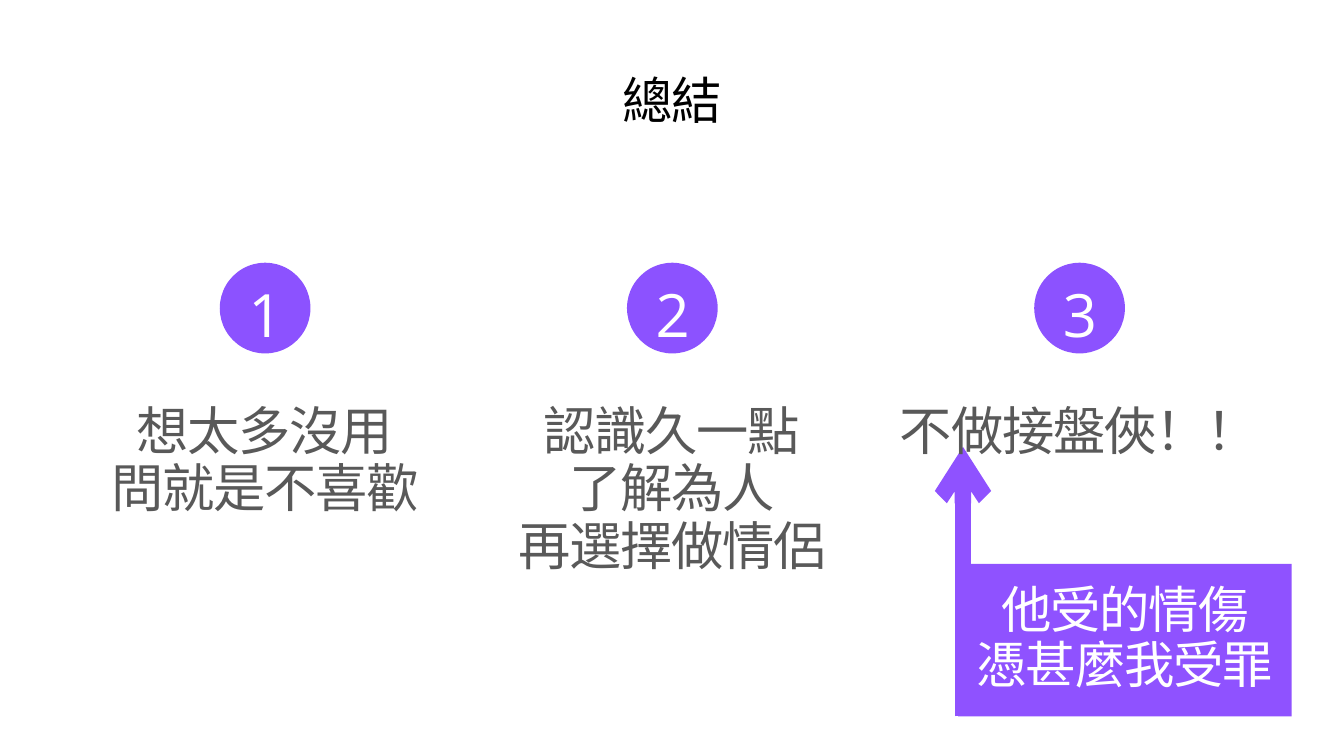
from lxml import etree
from pptx import Presentation
from pptx import util as u
from pptx.dml.color import RGBColor
from pptx.enum import shapes, text
from pptx.oxml.ns import qn

Inches, Pt = u.Inches, u.Pt
COLORS = {"circle": "8C52FF", "callout": "8F52FF", "white": "FFFFFF",
          "body": "595959", "title": "000000"}


def rgb(name):
    return RGBColor.from_string(COLORS[name])


def write(box, words, font, size, color, leading, tracking):
    frame = box.text_frame
    frame.word_wrap = True
    frame.auto_size = text.MSO_AUTO_SIZE.NONE
    frame.vertical_anchor = text.MSO_ANCHOR.TOP
    frame.margin_left = frame.margin_right = 0
    frame.margin_top = frame.margin_bottom = 0
    frame.text = words
    for paragraph in frame.paragraphs:
        paragraph.alignment = text.PP_ALIGN.CENTER
        paragraph.line_spacing = Pt(leading)
        for run in paragraph.runs:
            run.font.name = font
            run.font.size = Pt(size)
            run.font.color.rgb = rgb(color)
            run.font._element.set("spc", str(tracking))


prs = Presentation()
prs.slide_width, prs.slide_height = Inches(20), Inches(11.25)
slide = prs.slides.add_slide(prs.slide_layouts[5])

title = slide.shapes.title
title.left, title.top = Inches(8.88), Inches(1.12)
title.width, title.height = Inches(2.24), Inches(0.89)
write(title, "總結", "Calibri", 54, "title", 58.3, -130)

callout = slide.shapes.add_shape(shapes.MSO_SHAPE.RECTANGLE, Inches(14.26),
                                 Inches(8.39), Inches(4.96), Inches(2.27))
callout.shadow.inherit = False
callout.fill.solid()
callout.fill.fore_color.rgb = rgb("callout")
callout.line.fill.background()

arrow = slide.shapes.add_connector(shapes.MSO_CONNECTOR.STRAIGHT, Inches(14.33),
                                   Inches(10.66), Inches(14.33), Inches(6.65))
arrow.line.color.rgb = rgb("callout")
arrow.line.width = Pt(17.25)
etree.SubElement(arrow.line._get_or_add_ln(), qn("a:tailEnd"), type="arrow")
etree.SubElement(arrow._element.spPr, qn("a:effectLst"))

points = [("想太多沒用\n問就是不喜歡", 1.8),
          ("認識久一點\n了解為人\n再選擇做情侶", 2.65),
          ("不做接盤俠！！", 0.94)]
for i, (words, height) in enumerate(points):
    left = 1.23 + 6.06 * i
    point = slide.shapes.add_textbox(Inches(left), Inches(6), Inches(5.42), Inches(height))
    write(point, words, "Calibri", 56, "body", 61.6, -135)

    circle = slide.shapes.add_shape(shapes.MSO_SHAPE.OVAL, Inches(left + 2.04),
                                    Inches(3.91), Inches(1.35), Inches(1.35))
    circle.shadow.inherit = False
    circle.fill.solid()
    circle.fill.fore_color.rgb = rgb("circle")
    circle.line.fill.background()

    number = slide.shapes.add_textbox(Inches(left + 2.04), Inches(3.8),
                                      Inches(1.36), Inches(1.31))
    write(number, str(i + 1), "Open Sans", 64, "white", 100.5, -160)

remark = slide.shapes.add_textbox(Inches(14.26), Inches(8.7), Inches(4.96), Inches(1.69))
write(remark, "他受的情傷\n憑甚麼我受罪", "Calibri", 54, "white", 58.3, -130)

prs.save("out.pptx")
